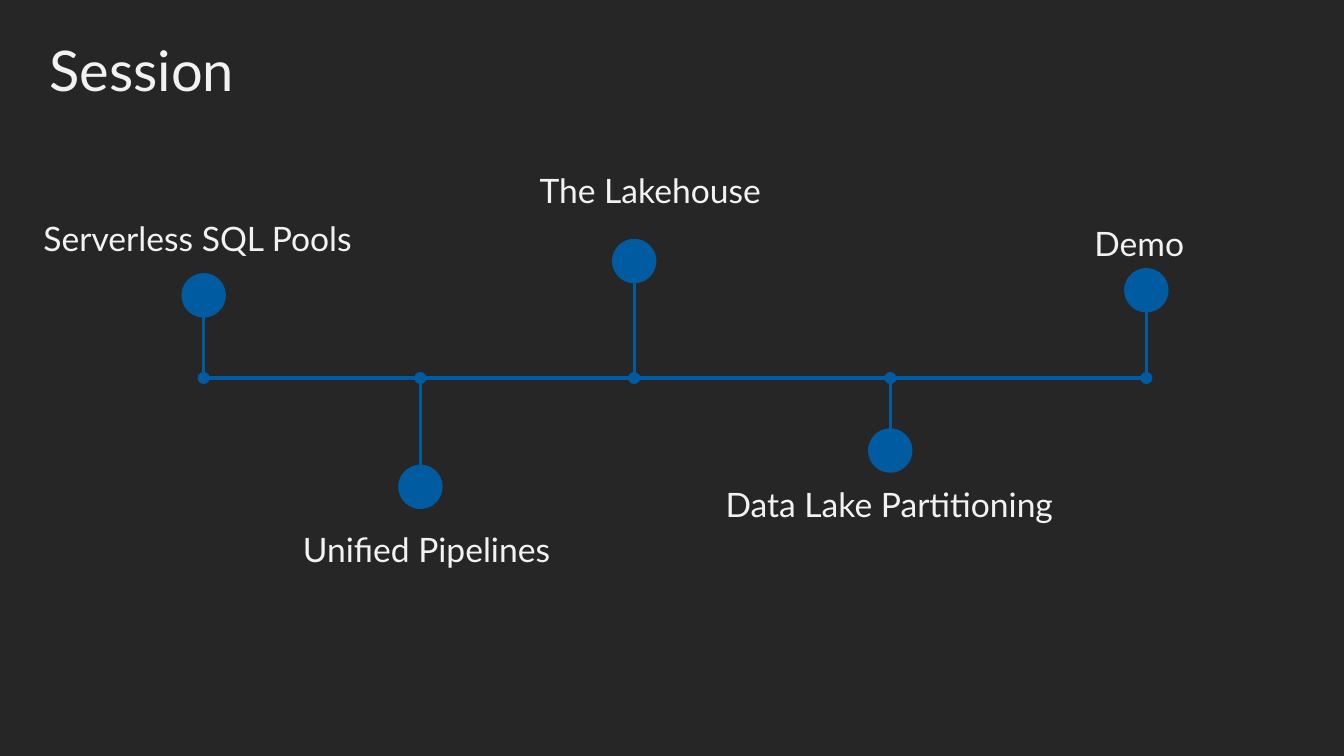
import pptx
import pptx.util
import pptx.dml.color
import pptx.enum.shapes
import pptx.enum.text
import pptx.oxml.ns
import lxml.etree

COLORS = {"background": "262626", "text": "F2F2F2", "timeline": "005BA1"}
AXIS_Y = 3.75
MARKER_SIZE = 0.12
BUBBLE_SIZE = 0.44
LABEL_HEIGHT = 0.5
inches = pptx.util.Inches

stops = [
    ("Serverless SQL Pools", 2.02, 2.93, 0.08, 2.11, 3.76),
    ("Unified Pipelines", 4.17, 4.83, 2.35, 5.2, 3.76),
    ("The Lakehouse", 6.29, 2.59, 4.57, 1.64, 3.76),
    ("Data Lake Partitioning", 8.83, 4.47, 6.94, 4.75, 3.76),
    ("Demo", 11.37, 2.88, 10.47, 2.16, 1.66),
]

deck = pptx.Presentation()
deck.slide_width, deck.slide_height = inches(13.33), inches(7.5)
page = deck.slides.add_slide(deck.slide_layouts[5])
page.background.fill.solid()
page.background.fill.fore_color.rgb = pptx.dml.color.RGBColor.from_string(COLORS["background"])


def write_text(box, text, size, alignment):
    frame = box.text_frame
    frame.text = text
    frame.word_wrap = True
    frame.auto_size = pptx.enum.text.MSO_AUTO_SIZE.NONE
    frame.vertical_anchor = pptx.enum.text.MSO_ANCHOR.TOP
    para = frame.paragraphs[0]
    para.alignment = alignment
    font = para.runs[0].font
    font.name = "Lato"
    font.size = pptx.util.Pt(size)
    font.color.rgb = pptx.dml.color.RGBColor.from_string(COLORS["text"])


def draw_line(start_x, start_y, end_x, end_y):
    line = page.shapes.add_connector(
        pptx.enum.shapes.MSO_CONNECTOR.STRAIGHT,
        inches(start_x), inches(start_y), inches(end_x), inches(end_y))
    line.line.width = pptx.util.Pt(2.25)
    line.line.color.rgb = pptx.dml.color.RGBColor.from_string(COLORS["timeline"])
    properties = line._element.spPr
    lxml.etree.SubElement(properties, pptx.oxml.ns.qn("a:effectLst"))


title = page.shapes.title
title.left, title.top = inches(0.39), inches(0.3)
title.width, title.height = inches(6.43), inches(0.77)
write_text(title, "Session", 40, pptx.enum.text.PP_ALIGN.LEFT)

draw_line(stops[0][1], AXIS_Y, stops[-1][1], AXIS_Y)

for name, center_x, bubble_y, label_left, label_top, label_width in stops:
    draw_line(center_x, bubble_y, center_x, AXIS_Y)
    for center_y, size in ((AXIS_Y, MARKER_SIZE), (bubble_y, BUBBLE_SIZE)):
        circle = page.shapes.add_shape(
            pptx.enum.shapes.MSO_SHAPE.OVAL,
            inches(center_x - size / 2), inches(center_y - size / 2),
            inches(size), inches(size))
        circle.shadow.inherit = False
        circle.fill.solid()
        circle.fill.fore_color.rgb = pptx.dml.color.RGBColor.from_string(COLORS["timeline"])
        circle.line.fill.background()
    label = page.shapes.add_textbox(
        inches(label_left), inches(label_top), inches(label_width), inches(LABEL_HEIGHT))
    write_text(label, name, 24, pptx.enum.text.PP_ALIGN.CENTER)

deck.save("out.pptx")
